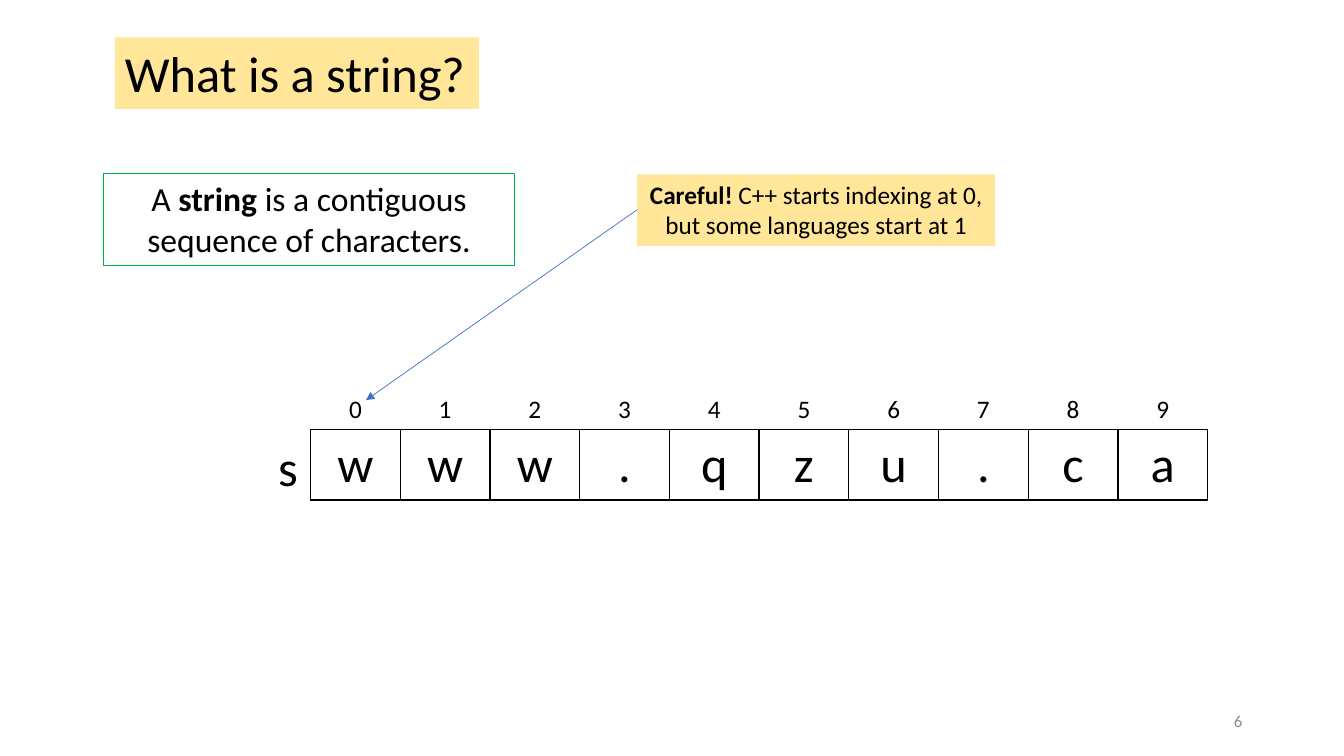
import pptx
import pptx.util
import pptx.dml.color
import pptx.enum.shapes
import pptx.enum.text
import pptx.oxml.ns
import lxml.etree

WIDTH, HEIGHT = 13.33, 7.5
FONT = "Calibri"
BLACK, GREY, GREEN, BLUE, YELLOW = "000000", "8C8C8C", "00B050", "4472C4", "FFE699"
LETTERS = "www.qzu.ca"
CELL_WIDTH, INDEX_HEIGHT, LETTER_HEIGHT = 0.89, 0.4, 0.7
ARRAY_LEFT, ARRAY_TOP = 3.08, 3.86
ALIGN = pptx.enum.text.PP_ALIGN
ANCHOR = pptx.enum.text.MSO_ANCHOR


def color(hex_string):
    return pptx.dml.color.RGBColor.from_string(hex_string)


def inches(*lengths):
    return [pptx.util.Inches(length) for length in lengths]


def add_xml(parent, tag, **attributes):
    return lxml.etree.SubElement(parent, pptx.oxml.ns.qn(tag), attributes)


def write(frame, runs, size, align=ALIGN.LEFT, ink=BLACK):
    """Fill a text frame with one paragraph of (text, bold) runs."""
    paragraph = frame.paragraphs[0]
    paragraph.alignment = align
    font = paragraph.font
    font.name, font.size = FONT, pptx.util.Pt(size)
    font.color.rgb = color(ink)
    for text, bold in runs:
        run = paragraph.add_run()
        run.text = text
        if bold:
            run.font.bold = True


def add_label(slide, box, text, size, align=ALIGN.LEFT, ink=BLACK,
              anchor=ANCHOR.TOP, wrap=True):
    frame = slide.shapes.add_textbox(*inches(*box)).text_frame
    frame.word_wrap, frame.vertical_anchor = wrap, anchor
    write(frame, [(text, False)], size, align, ink)


def add_panel(slide, box, runs, size, align=ALIGN.CENTER, fill=None, line=None, wrap=True):
    panel = slide.shapes.add_shape(pptx.enum.shapes.MSO_SHAPE.RECTANGLE, *inches(*box))
    panel.shadow.inherit = False
    if fill:
        panel.fill.solid()
        panel.fill.fore_color.rgb = color(fill)
    else:
        panel.fill.background()
    if line:
        panel.line.color.rgb = color(line)
        panel.line.width = pptx.util.Pt(0.75)
    else:
        panel.line.fill.background()
    panel.text_frame.word_wrap = wrap
    panel.text_frame.vertical_anchor = ANCHOR.TOP
    write(panel.text_frame, runs, size, align)


def add_arrow(slide, start, end):
    arrow = slide.shapes.add_connector(
        pptx.enum.shapes.MSO_CONNECTOR.STRAIGHT, *inches(*start, *end))
    arrow.line.color.rgb = color(BLUE)
    arrow.line.width = pptx.util.Pt(0.5)
    add_xml(arrow.line._get_or_add_ln(), "a:tailEnd", type="triangle")
    add_xml(arrow._element.spPr, "a:effectLst")


def fill_cell(cell, text, size, anchor, sides):
    """Write a centred cell with black borders on the given sides."""
    cell.vertical_anchor = anchor
    write(cell.text_frame, [(text, False)], size, ALIGN.CENTER)
    properties = cell._tc.get_or_add_tcPr()
    for side in "LRTB":
        border = add_xml(properties, "a:ln" + side, w=str(pptx.util.Pt(1)))
        if side in sides:
            add_xml(add_xml(border, "a:solidFill"), "a:srgbClr", val=BLACK)
        else:
            add_xml(border, "a:noFill")
    cell.fill.background()


def add_array(slide):
    table = slide.shapes.add_table(
        2, len(LETTERS), *inches(ARRAY_LEFT, ARRAY_TOP, CELL_WIDTH * len(LETTERS),
                                 INDEX_HEIGHT + LETTER_HEIGHT)).table
    table.first_row = table.horz_banding = False
    for row, height in zip(table.rows, (INDEX_HEIGHT, LETTER_HEIGHT)):
        row.height = pptx.util.Inches(height)
    for index, letter in enumerate(LETTERS):
        table.columns[index].width = pptx.util.Inches(CELL_WIDTH)
        fill_cell(table.cell(0, index), str(index), 18, ANCHOR.BOTTOM, "B")
        fill_cell(table.cell(1, index), letter, 36, ANCHOR.TOP, "LRTB")


def main():
    deck = pptx.Presentation()
    deck.slide_width, deck.slide_height = inches(WIDTH, HEIGHT)
    slide = deck.slides.add_slide(deck.slide_layouts[6])

    # Slide number
    add_label(slide, (9.42, 6.95, 3, 0.4), "6", 12, ALIGN.RIGHT, GREY, ANCHOR.MIDDLE)

    # Definition and title
    add_panel(slide, (1.03, 1.72, 4.07, 0.91),
              [("A ", False), ("string", True),
               (" is a contiguous sequence of characters.", False)], 24, line=GREEN)
    add_panel(slide, (1.14, 0.37, 3.61, 0.71), [("What is a string?", False)], 36,
              ALIGN.LEFT, fill=YELLOW, wrap=False)

    # Indexed characters, with the warning pointing at index 0
    add_array(slide)
    add_panel(slide, (6.32, 1.73, 3.55, 0.71),
              [("Careful! ", True),
               ("C++ starts indexing at 0, but some languages start at 1", False)],
              18, fill=YELLOW)
    add_arrow(slide, (6.32, 2.08), (3.63, 3.97))
    add_label(slide, (2.66, 4.28, 0.4, 0.71), "s", 36, wrap=False)

    deck.save("out.pptx")


main()
